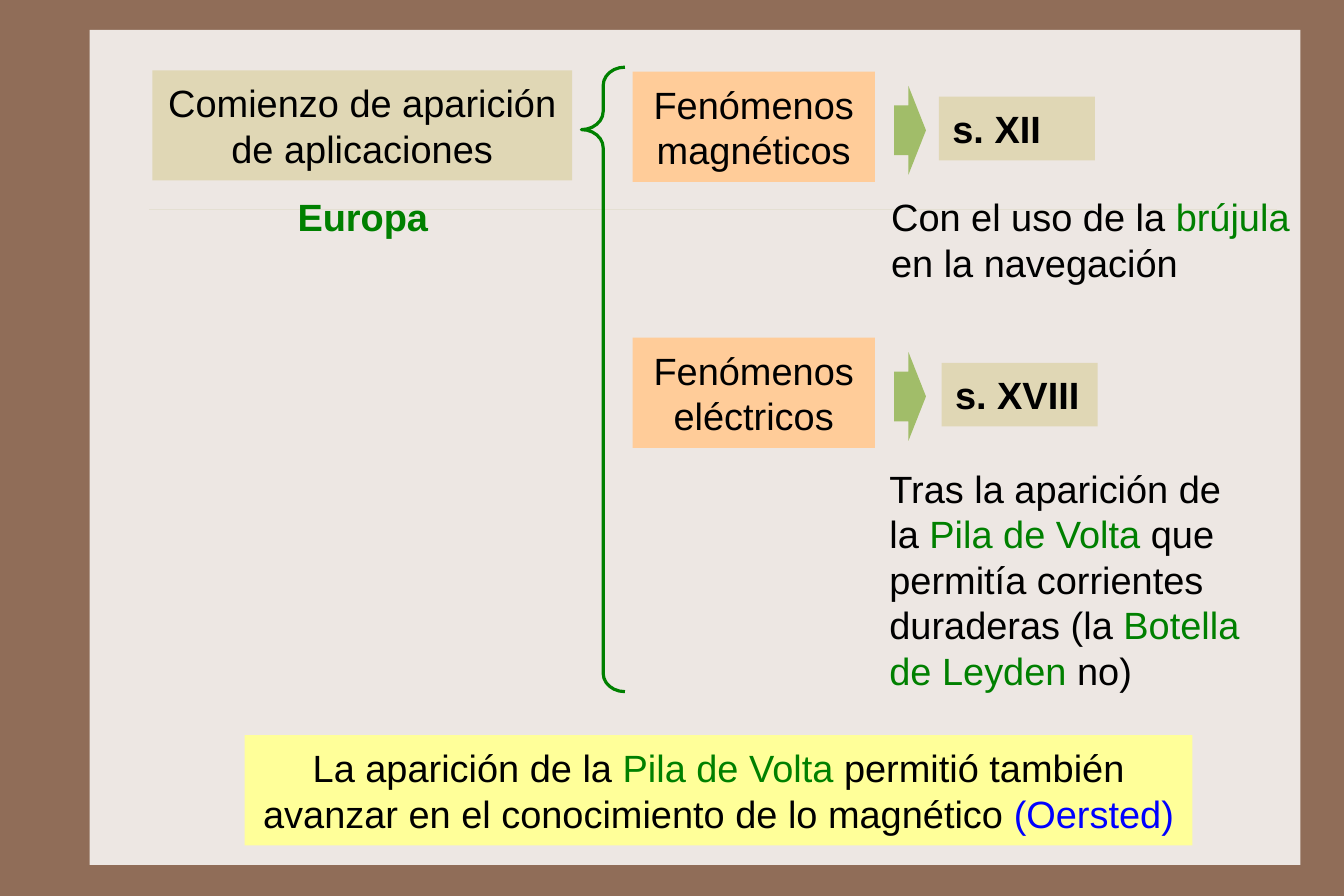
import pptx
import pptx.dml.color
import pptx.enum.shapes
import pptx.enum.text
import pptx.util
from lxml import etree

Cm = pptx.util.Cm
Pt = pptx.util.Pt
SHAPE = pptx.enum.shapes.MSO_SHAPE
ALIGN = pptx.enum.text.PP_ALIGN
BLACK, GREEN, BLUE = "000000", "008000", "0000FF"
SAND, PEACH, YELLOW = "E0D7B5", "FFCC99", "FFFF99"


def colour(hex_code):
    return pptx.dml.color.RGBColor.from_string(hex_code)


def add_figure(shapes, kind, box, fill=None, line=None, adjustments=()):
    figure = shapes.add_shape(kind, *map(Cm, box))
    figure.shadow.inherit = False
    if fill:
        figure.fill.solid()
        figure.fill.fore_color.rgb = colour(fill)
    else:
        figure.fill.background()
    if line:
        figure.line.color.rgb = colour(line)
        figure.line.width = Pt(2)
    else:
        figure.line.fill.background()
    for index, value in enumerate(adjustments):
        figure.adjustments[index] = value
    return figure


def write(holder, *pieces, align=ALIGN.LEFT, bold=False, wrap=True, centre_block=False):
    """Fill a shape with pieces, each a plain string or a (text, colour) pair."""
    frame = holder.text_frame
    frame.word_wrap = wrap
    frame.auto_size = pptx.enum.text.MSO_AUTO_SIZE.SHAPE_TO_FIT_TEXT
    frame.vertical_anchor = pptx.enum.text.MSO_ANCHOR.MIDDLE
    frame.margin_left = frame.margin_right = Cm(0.3)
    frame.margin_top = frame.margin_bottom = Cm(0.2)
    if centre_block:
        holder.element.txBody.bodyPr.set("anchorCtr", "1")
    paragraph = frame.paragraphs[0]
    paragraph.alignment = align
    paragraph.line_spacing = Pt(28.8)
    for piece in pieces:
        text, ink = (piece, BLACK) if isinstance(piece, str) else piece
        run = paragraph.add_run()
        run.text = text
        run.font.name = "Arial"
        run.font.size = Pt(24)
        run.font.bold = bold
        run.font.color.rgb = colour(ink)


def add_label(shapes, box, fill, *pieces, **text_format):
    write(add_figure(shapes, SHAPE.RECTANGLE, box, fill), *pieces, **text_format)


def add_note(shapes, box, *pieces, **text_format):
    write(shapes.add_textbox(*map(Cm, box)), *pieces, **text_format)


def add_rule(shapes, left, right, top):
    rule = shapes.add_connector(
        pptx.enum.shapes.MSO_CONNECTOR.STRAIGHT, Cm(left), Cm(top), Cm(right), Cm(top))
    rule.line.color.rgb = colour("E4DFD2")
    rule.line.width = Pt(0.25)
    etree.SubElement(rule.element.spPr, pptx.oxml.ns.qn("a:effectLst"))


def add_phenomenon(shapes, top, name, century, century_left):
    add_label(shapes, (14.12, top, 5.41, 2.46), PEACH, name, align=ALIGN.CENTER)
    dating = shapes.add_group_shape().shapes
    add_label(dating, (century_left, top + 0.56, 3.48, 1.42), SAND, century, bold=True)
    add_figure(dating, SHAPE.RIGHT_ARROW, (19.96, top + 0.32, 0.71, 1.98),
               "A1BD69", adjustments=(0.56, 0.55))


def main():
    deck = pptx.Presentation()
    deck.slide_width, deck.slide_height = Cm(30), Cm(20)
    slide = deck.slides.add_slide(deck.slide_layouts[6])
    slide.background.fill.solid()
    slide.background.fill.fore_color.rgb = colour("906D58")
    shapes = slide.shapes

    add_figure(shapes, SHAPE.RECTANGLE, (2, 0.67, 27.03, 18.64), "EDE7E3")
    add_rule(shapes, 3.33, 28.5, 4.67)
    add_note(shapes, (6.1, 4.12, 4, 1.42), ("Europa", GREEN),
             align=ALIGN.CENTER, bold=True, wrap=False)
    add_label(shapes, (3.4, 1.57, 9.37, 2.46), SAND,
              "Comienzo de aparición de aplicaciones", align=ALIGN.CENTER)
    add_figure(shapes, SHAPE.LEFT_BRACE, (12.98, 1.5, 0.97, 13.94),
               line=GREEN, adjustments=(0.42, 0.1))

    add_phenomenon(shapes, 1.6, "Fenómenos magnéticos", "s. XII", 20.96)
    add_phenomenon(shapes, 7.54, "Fenómenos eléctricos", "s. XVIII", 21.02)

    add_note(shapes, (19.3, 4.11, 10.08, 2.46),
             "Con el uso de la ", ("brújula", GREEN), " en la navegación",
             centre_block=True)
    add_note(shapes, (19.38, 10.16, 8.76, 5.54),
             "Tras la aparición de la ", ("Pila de Volta", GREEN),
             " que permitía corrientes duraderas (la ",
             ("Botella de Leyden", GREEN), " no)", centre_block=True)
    add_label(shapes, (5.46, 16.41, 21.16, 2.46), YELLOW,
              "La aparición de la ", ("Pila de Volta ", GREEN),
              "permitió también avanzar en el conocimiento de lo magnético ",
              ("(Oersted)", BLUE), align=ALIGN.CENTER)

    deck.save("out.pptx")


if __name__ == "__main__":
    main()
